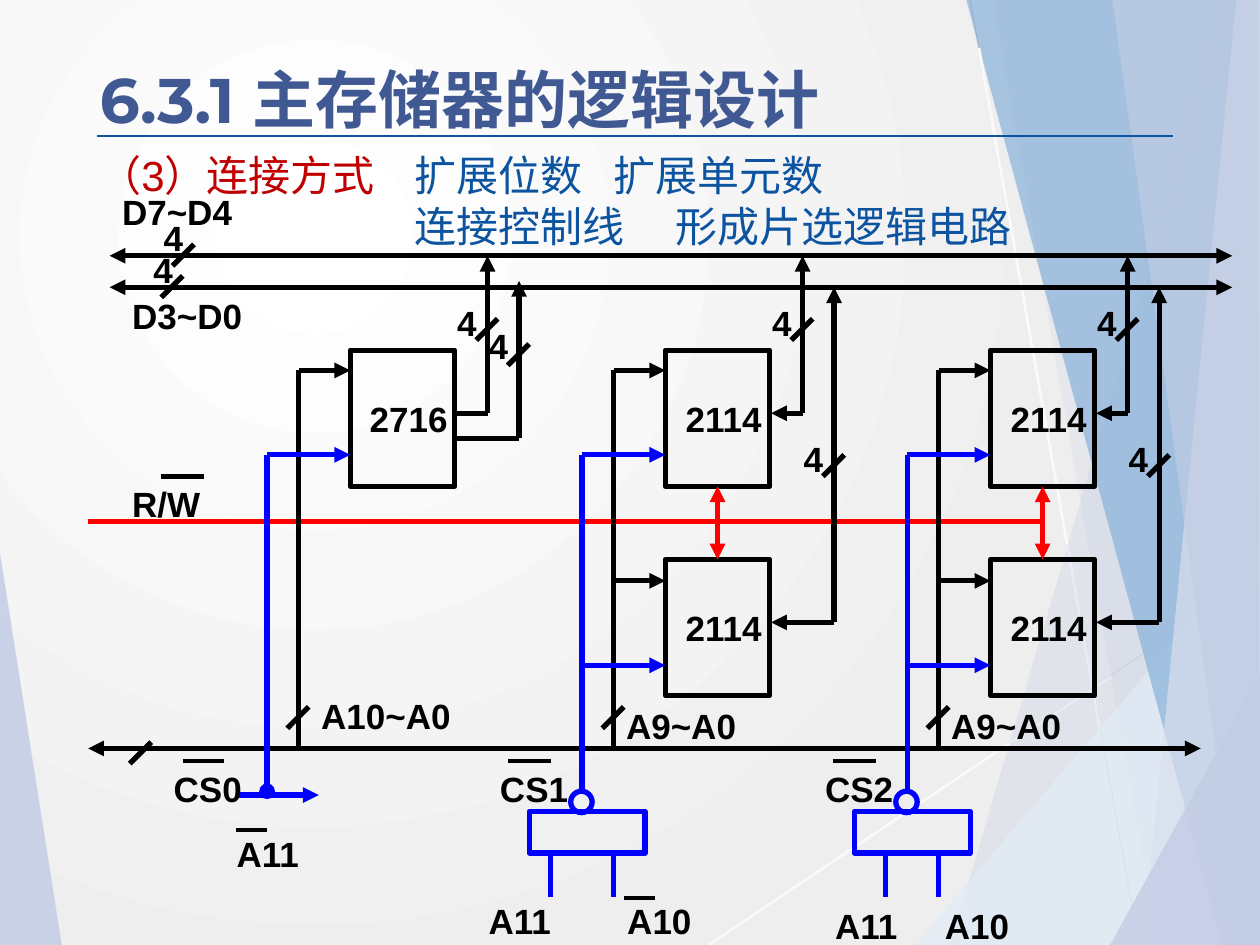
from dataclasses import dataclass
from lxml.etree import SubElement
from pptx import Presentation
from pptx.dml.color import RGBColor
from pptx.enum.shapes import MSO_CONNECTOR, MSO_SHAPE
from pptx.enum.text import MSO_ANCHOR, PP_ALIGN
from pptx.oxml.ns import qn
from pptx.util import Inches, Pt


@dataclass(frozen=True)
class Theme:
    black: str = "000000"
    blue: str = "0000FF"
    red: str = "FF0000"
    title: str = "415992"
    accent: str = "0C54A0"
    topic: str = "C00000"
    bg: tuple = ("FFFFFF", "EEEEEE")
    facet: str = "C2CCE4"
    facet_pale: str = "E2ECF6"
    facet_sky: str = "88B1DA"
    facet_mist: str = "DAE0EF"
    font: str = "Arial"
    title_font: str = "Montserrat"
    title_size: int = 36
    body_size: int = 24
    label_size: int = 20


T = Theme()
prs = Presentation()
prs.slide_width, prs.slide_height = Inches(10), Inches(7.5)
s = prs.slides.add_slide(prs.slide_layouts[5])


def wire(x1, y1, x2, y2, colour=T.black, width=3, head=None, tail=None):
    c = s.shapes.add_connector(MSO_CONNECTOR.STRAIGHT, Inches(x1), Inches(y1), Inches(x2), Inches(y2))
    c.line.color.rgb = RGBColor.from_string(colour)
    c.line.width = Pt(width)
    ln = c.line._get_or_add_ln()
    for tag, kind in (("a:headEnd", head), ("a:tailEnd", tail)):
        if kind:
            SubElement(ln, qn(tag), type=kind)
    SubElement(c._element.spPr, qn("a:effectLst"))
    return c


def label(x, y, text, width=0.83):
    tf = s.shapes.add_textbox(Inches(x), Inches(y), Inches(width), Inches(0.43)).text_frame
    tf.word_wrap = True
    p = tf.paragraphs[0]
    p.text = text
    p.font.name, p.font.size, p.font.bold = T.font, Pt(T.label_size), True
    p.font.color.rgb = RGBColor.from_string(T.black)


fill = s.background.fill
fill.gradient()
for stop, colour, pos in zip(fill.gradient_stops, T.bg, (0, 1)):
    stop.color.rgb = RGBColor.from_string(colour)
    stop.position = pos
grad = s._element.find(".//" + qn("a:gradFill"))
grad.remove(grad.find(qn("a:lin")))
circle = SubElement(grad, qn("a:path"), path="circle")
SubElement(circle, qn("a:fillToRect"), l="50000", t="50000", r="100000", b="100000")

wire(5.61, 7.5, 10, 4.57, "D9D9D9", 0.75)
wire(7.7, 0, 9.04, 7.5, "BFBFBF", 0.75)
facets = [
    (T.facet, 85, [(0, 4.39), (0.49, 7.5), (0, 7.5)]),
    (T.facet, 30, [(9.75, 0), (7.54, 7.5), (10, 7.5), (10, 0)]),
    (T.facet, 20, [(7.88, 0), (9.19, 7.5), (10, 7.5), (10, 0)]),
    (T.facet_pale, 72, [(7.26, 7.5), (10, 4.29), (10, 7.5)]),
    (T.facet_sky, 70, [(7.67, 0), (9.7, 7.5), (10, 7.5), (10, 0)]),
    (T.facet_mist, 70, [(9.81, 0), (9.07, 7.5), (10, 7.5), (10, 0)]),
    (T.facet, 65, [(8.83, 0), (9.86, 7.5), (10, 7.5), (9.98, 0)]),
    (T.facet, 80, [(8.81, 7.5), (10, 5.35), (10, 7.5)]),
]
for colour, alpha, points in facets:
    start, *rest = [(Inches(x), Inches(y)) for x, y in points]
    fb = s.shapes.build_freeform(*start)
    fb.add_line_segments(rest)
    sp = fb.convert_to_shape()
    sp.shadow.inherit = False
    sp.fill.solid()
    sp.fill.fore_color.rgb = RGBColor.from_string(colour)
    SubElement(sp._element.spPr.find(".//" + qn("a:srgbClr")), qn("a:alpha"), val=str(alpha * 1000))
    sp.line.fill.background()
for x1, y1, x2, y2, colour in (
    (8.01, 5.9, 5.62, 7.5, "F9F9F9"),
    (8.82, 5.37, 8.01, 5.9, "E8EBF2"),
    (8.47, 4.32, 8.73, 5.79, "E9ECF3"),
    (7.77, 0.38, 8.47, 4.32, "FAFAFA"),
):
    wire(x1, y1, x2, y2, colour, 1.5)

tf = s.shapes.add_textbox(Inches(0.69), Inches(1.14), Inches(8.85), Inches(0.91)).text_frame
tf.word_wrap = True
lines = [
    ([("（3）连接方式\t", T.topic), ("扩展位数\t扩展单元数", T.accent)], 4.08),
    ([("\t连接控制线\t形成片选逻辑电路", T.accent)], 4.57),
]
for i, (runs, second_tab) in enumerate(lines):
    p = tf.add_paragraph() if i else tf.paragraphs[0]
    tabs = SubElement(p._p.get_or_add_pPr(), qn("a:tabLst"))
    for pos in (2.5, second_tab):
        SubElement(tabs, qn("a:tab"), pos=str(Inches(pos)), algn="l")
    p.font.name, p.font.size = T.font, Pt(T.body_size)
    for text, colour in runs:
        r = p.add_run()
        r.text = text
        r.font.color.rgb = RGBColor.from_string(colour)

title = s.shapes.title
s.shapes._spTree.append(title._element)
title.left, title.top, title.width, title.height = Inches(0.69), Inches(0.4), Inches(8.62), Inches(0.76)
title.text_frame.vertical_anchor = MSO_ANCHOR.MIDDLE
p = title.text_frame.paragraphs[0]
p.text = "6.3.1 主存储器的逻辑设计"
p.alignment = PP_ALIGN.LEFT
p.font.name, p.font.size, p.font.bold = T.title_font, Pt(T.title_size), True
p.font.color.rgb = RGBColor.from_string(T.title)
wire(0.77, 1.08, 9.31, 1.08, T.accent, 1.5)

STEP = 2.58
chips = {}
for x, y, name in [(2.78, 2.78, "2716")] + [(5.28 + dx, y, "2114") for dx in (0, STEP) for y in (2.78, 4.44)]:
    sp = s.shapes.add_shape(MSO_SHAPE.RECTANGLE, Inches(x), Inches(y), Inches(0.83), Inches(1.08))
    sp.shadow.inherit = False
    sp.fill.background()
    sp.line.color.rgb = RGBColor.from_string(T.black)
    sp.line.width = Pt(3)
    tf = sp.text_frame
    tf.word_wrap = False
    tf.margin_left, tf.margin_right = Inches(0.1), 0
    tf.vertical_anchor = MSO_ANCHOR.MIDDLE
    p = tf.paragraphs[0]
    p.text = name
    p.alignment = PP_ALIGN.CENTER
    p.font.name, p.font.size, p.font.bold = T.font, Pt(T.label_size), True
    p.font.color.rgb = RGBColor.from_string(T.black)
    chips[x, y] = sp

for y, x2 in ((2.03, 9.78), (2.28, 9.78), (5.94, 9.53)):
    wire(0.7 if y > 5 else 0.87, y, x2, y, head="triangle", tail="triangle")
wire(0.7, 4.14, 8.28, 4.14, T.red)

for x, y, text in ((0.87, 1.46, "D7~D4"), (0.95, 2.29, "D3~D0"), (0.95, 3.78, "R/W"), (2.45, 5.46, "A10~A0")):
    label(x, y, text, 1.42)
for x, y in ((1.2, 1.67), (1.12, 1.92), (3.53, 2.34), (3.78, 2.53)):
    label(x, y, "4")
wire(1.28, 3.78, 1.62, 3.78)

wire(2.37, 2.94, 2.37, 5.94)
wire(2.37, 2.94, 2.78, 2.94, tail="triangle")
wire(2.12, 3.61, 2.12, 6.28, T.blue, tail="oval")
wire(2.12, 3.61, 2.78, 3.61, T.blue, tail="triangle")
wire(1.87, 6.31, 2.53, 6.31, T.blue, tail="triangle")
for x, y in ((3.87, 3.28), (4.12, 3.48)):
    wire(3.62, y, x, y)
    wire(x, y, x, y - 1.25, tail="triangle")
label(1.28, 6.04, "CS0")
wire(1.45, 6.04, 1.78, 6.04, width=2.25)
label(1.78, 6.56, "A11")
wire(1.87, 6.59, 2.12, 6.59, width=2.25)

columns = [
    (0, "CS1", (4.37, 4.87), (3.78, 4.88), 7.09),
    (STEP, "CS2", (7.03, 7.45), (6.53, 7.4), 7.13),
]
for dx, select, pins, inputs, input_y in columns:
    wire(4.87 + dx, 2.94, 4.87 + dx, 5.94)
    wire(4.62 + dx, 3.61, 4.62 + dx, 6.28, T.blue)
    for y in (2.94, 4.61):
        wire(4.87 + dx, y, 5.28 + dx, y, tail="triangle")
    for y in (3.61, 5.28):
        wire(4.62 + dx, y, 5.28 + dx, y, T.blue, tail="triangle")
    for x, bus_y, y in ((6.37, 2.03, 3.28), (6.62, 2.28, 4.94)):
        wire(x + dx, y, x + dx, bus_y, tail="triangle")
        wire(x + dx, y, 6.12 + dx, y, tail="triangle")
    c = wire(5.7 + dx, 4.44, 5.7 + dx, 3.86, T.red, head="triangle", tail="triangle")
    c.begin_connect(chips[5.28 + dx, 4.44], 0)
    c.end_connect(chips[5.28 + dx, 2.78], 2)
    label(6.03 + dx, 2.34, "4")
    label(6.28 + dx, 3.42, "4")
    label(4.87 + dx, 5.54, "A9~A0", 1.42)
    label(3.87 + dx, 6.04, select)
    wire(4.03 + dx, 6.04, 4.37 + dx, 6.04, width=2.25)
    for kind, x, y, w, h in ((MSO_SHAPE.RECTANGLE, 4.2, 6.44, 0.92, 0.33), (MSO_SHAPE.OVAL, 4.53, 6.28, 0.17, 0.17)):
        sp = s.shapes.add_shape(kind, Inches(x + dx), Inches(y), Inches(w), Inches(h))
        sp.shadow.inherit = False
        sp.fill.background()
        sp.line.color.rgb = RGBColor.from_string(T.blue)
        sp.line.width = Pt(3)
    for pin, x, text in zip(pins, inputs, ("A11", "A10")):
        wire(pin, 6.78, pin, 7.12, T.blue)
        label(x, input_y, text)
wire(4.95, 7.13, 5.2, 7.13, width=2.25)

slashes = [(1.37, 1.94), (1.28, 2.19), (1.03, 5.89), (2.28, 5.61), (3.78, 2.53), (4.03, 2.73)]
slashes += [(x + dx, y) for dx in (0, STEP) for x, y in ((6.28, 2.53), (6.53, 3.61), (4.78, 5.61))]
for x, y in slashes:
    wire(x + 0.17, y, x, y + 0.17)

prs.save("out.pptx")
